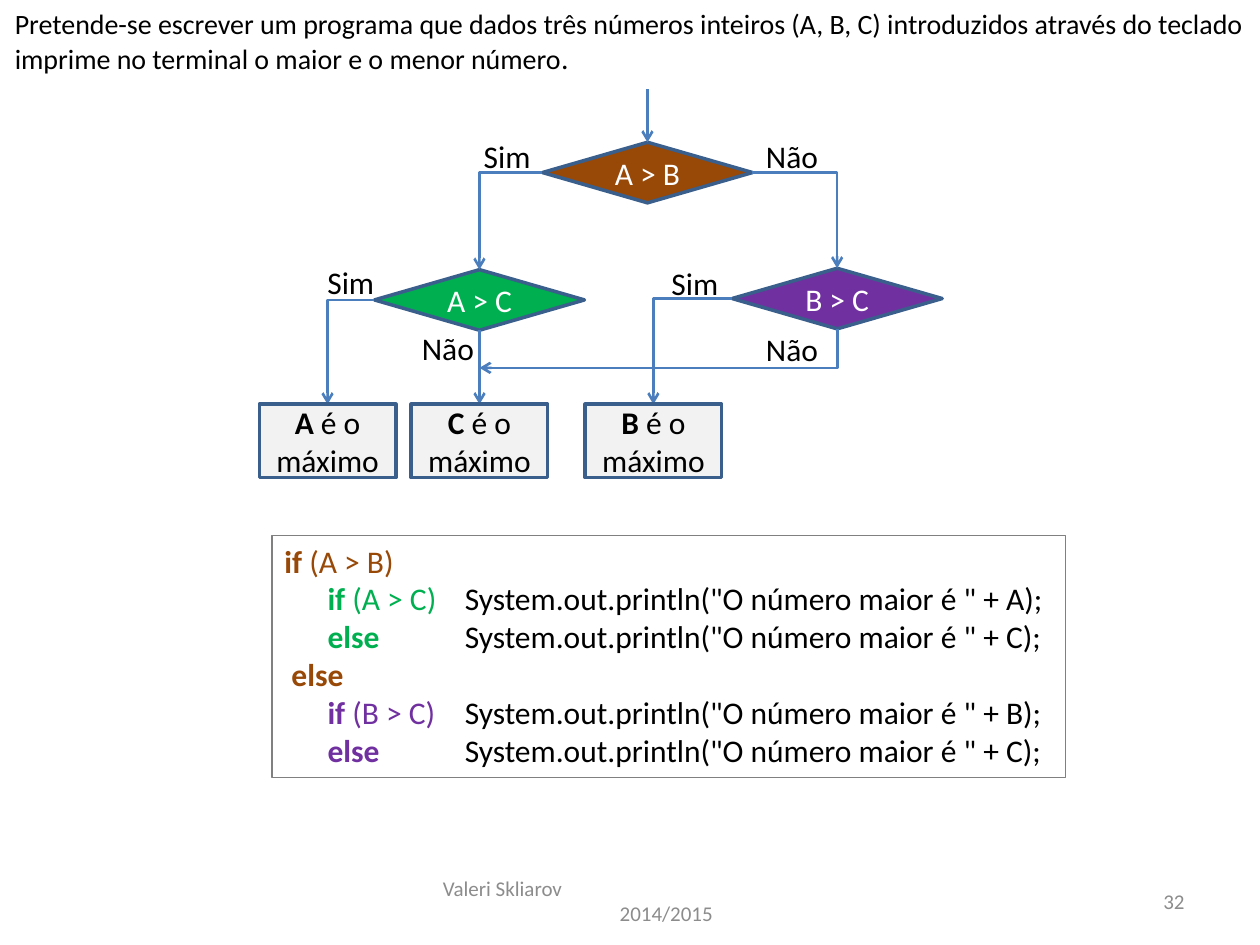
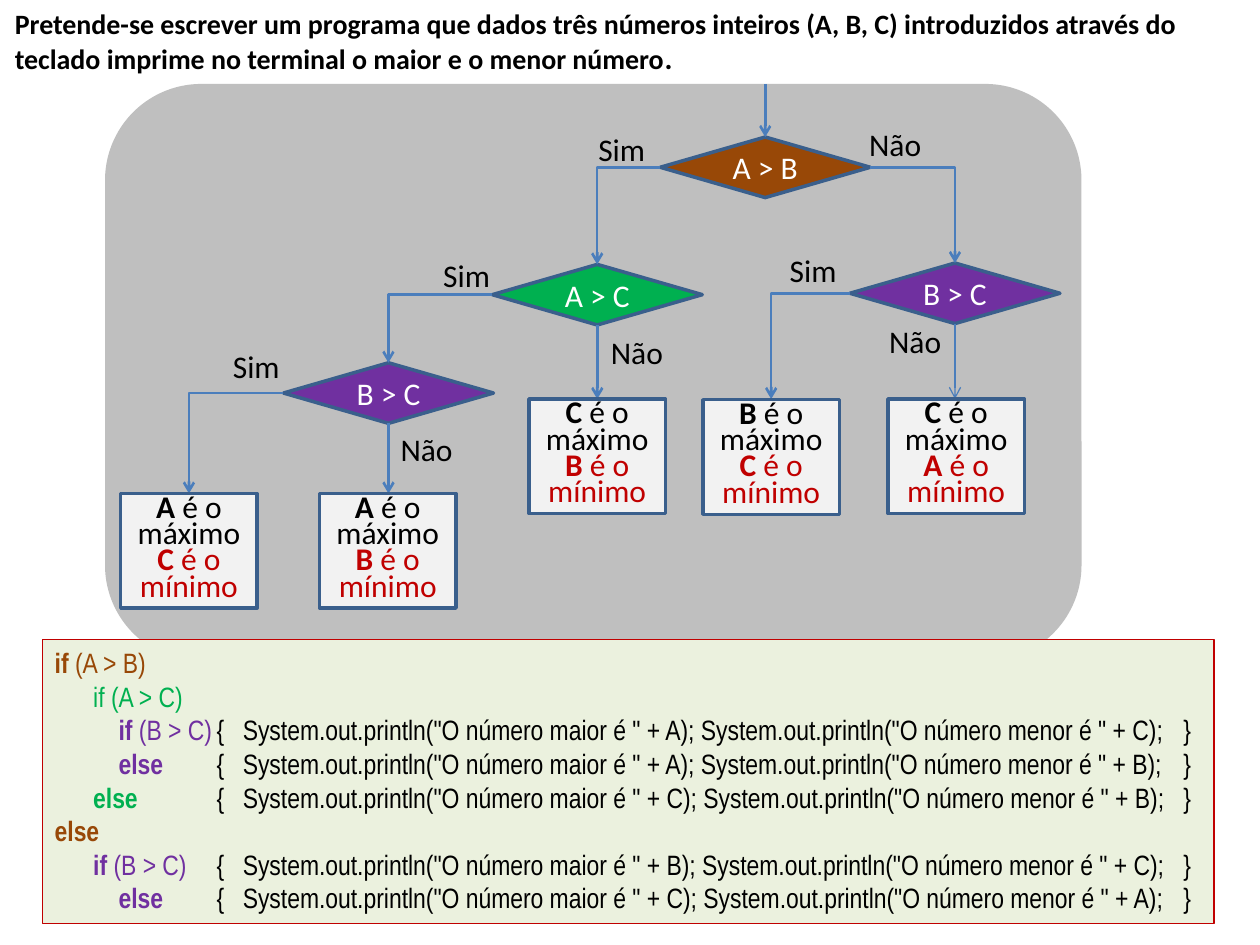
"""Build two slides with flowcharts and Java code that find the largest and smallest of three numbers."""
from dataclasses import dataclass

from lxml.etree import SubElement
from pptx import Presentation
from pptx.dml.color import RGBColor
from pptx.enum.shapes import MSO_CONNECTOR as Link, MSO_SHAPE as Shape
from pptx.enum.text import MSO_ANCHOR as Anchor, PP_ALIGN as Align
from pptx.oxml.ns import qn
from pptx.util import Pt


@dataclass(frozen=True)
class Theme:
    """Colours, fonts, type sizes and line widths of the deck."""
    ink: str = "000000"
    white: str = "FFFFFF"
    muted: str = "8C8C8C"
    brown: str = "984807"
    green: str = "00B050"
    purple: str = "7030A0"
    red: str = "C00000"
    outline: str = "3A5F8C"
    arrow: str = "4B7EBC"
    outcome: str = "F2F2F2"
    panel: str = "BFBFBF"
    code_fill: str = "EBF1DE"
    code_line: str = "808080"
    font: str = "Calibri"
    narrow: str = "Arial Narrow"
    footer_size: float = 12
    title_size: float = 16
    stop_size: float = 17
    body_size: float = 18
    thin: float = 0.75
    medium: float = 1.5
    thick: float = 2


THEME = Theme()
DIAMOND_WIDTH, DIAMOND_HEIGHT = 120, 34.6
OUTCOME_WIDTH = 78
TITLE = ("Pretende-se escrever um programa que dados três números inteiros (A, B, C) "
         "introduzidos através do teclado imprime no terminal o maior e o menor número")


def rgb(colour):
    """Turn a hex string into a colour."""
    return RGBColor.from_string(colour)


def add_run(para, text, colour=THEME.ink, size=THEME.body_size, bold=False, font=THEME.font):
    """Add one formatted run to a paragraph."""
    span = para.add_run()
    span.text = text
    span.font.name, span.font.size, span.font.bold = font, Pt(size), bold
    span.font.color.rgb = rgb(colour)


def next_para(frame, index):
    """Return the first paragraph of a frame or append another."""
    return frame.paragraphs[0] if index == 0 else frame.add_paragraph()


def add_text_box(page, left, top, width, height, wrap=True, anchor=Anchor.TOP):
    """Add an empty text box and return its frame."""
    frame = page.shapes.add_textbox(Pt(left), Pt(top), Pt(width), Pt(height)).text_frame
    frame.word_wrap, frame.vertical_anchor = wrap, anchor
    return frame


def add_box(page, kind, left, top, width, height, fill=None, line=None, weight=THEME.thick):
    """Add a flat preset shape and return it."""
    box = page.shapes.add_shape(kind, Pt(left), Pt(top), Pt(width), Pt(height))
    box.shadow.inherit = False
    if fill:
        box.fill.solid()
        box.fill.fore_color.rgb = rgb(fill)
    else:
        box.fill.background()
    if line:
        box.line.color.rgb = rgb(line)
        box.line.width = Pt(weight)
    else:
        box.line.fill.background()
    box.text_frame.word_wrap = True
    box.text_frame.vertical_anchor = Anchor.MIDDLE
    return box


def add_arrow(page, start, end, bent=False, tip="tailEnd", weight=THEME.medium):
    """Add a straight arrow, or a bent one that runs sideways and then vertically."""
    kind = Link.ELBOW if bent else Link.STRAIGHT
    link = page.shapes.add_connector(kind, *(Pt(value) for value in (*start, *end)))
    link.line.color.rgb = rgb(THEME.arrow)
    link.line.width = Pt(weight)
    props = link._element.spPr
    if bent:
        props.find(qn("a:prstGeom")).set("prst", "bentConnector2")
    SubElement(props.find(qn("a:ln")), qn(f"a:{tip}"), type="arrow")
    SubElement(props, qn("a:effectLst"))


def add_decision(page, text, centre, fill):
    """Add a decision diamond around its centre."""
    x, y = centre
    box = add_box(page, Shape.FLOWCHART_DECISION, x - DIAMOND_WIDTH / 2, y - DIAMOND_HEIGHT / 2,
                  DIAMOND_WIDTH, DIAMOND_HEIGHT, fill, THEME.outline)
    para = box.text_frame.paragraphs[0]
    para.alignment = Align.CENTER
    add_run(para, text, THEME.white)


def add_outcome(page, x, top, height, largest, smallest=None):
    """Add a result box that names the largest and perhaps the smallest number."""
    box = add_box(page, Shape.RECTANGLE, x - OUTCOME_WIDTH / 2, top, OUTCOME_WIDTH, height,
                  THEME.outcome, THEME.outline)
    results = [(largest, "máximo", THEME.ink)]
    if smallest:
        results.append((smallest, "mínimo", THEME.red))
    for index, (letter, word, colour) in enumerate(results):
        para = next_para(box.text_frame, index)
        para.alignment = Align.CENTER
        if smallest:
            para.line_spacing = Pt(15)
        add_run(para, letter, colour, bold=True)
        add_run(para, f" é o {word}", colour)


def side(centre, direction):
    """Return the left (-1) or right (1) corner of a diamond."""
    return centre[0] + direction * DIAMOND_WIDTH / 2, centre[1]


def edge(centre, direction):
    """Return the top (-1) or bottom (1) corner of a diamond."""
    return centre[0], centre[1] + direction * DIAMOND_HEIGHT / 2


def add_comparisons(page, dx=0, dy=0):
    """Draw the decisions shared by both charts and return the two lower centres."""
    first, left, right = [(x + dx, y + dy) for x, y in ((370, 98.6), (274, 171.4), (478.4, 170.6))]
    add_decision(page, "A > B", first, THEME.brown)
    add_decision(page, "A > C", left, THEME.green)
    add_decision(page, "B > C", right, THEME.purple)
    add_arrow(page, (first[0], 51 + dy), edge(first, -1))
    add_arrow(page, side(first, -1), edge(left, -1), bent=True)
    add_arrow(page, side(first, 1), edge(right, -1), bent=True)
    add_arrow(page, edge(left, 1), (left[0], 231 + dy))
    add_arrow(page, side(right, -1), (373.4 + dx, 231 + dy), bent=True)
    return left, right


def add_labels(page, yes, no):
    """Label the branches at the given corners."""
    for text, width, places in (("Sim", 42, yes), ("Não", 44.6, no)):
        for left, top in places:
            frame = add_text_box(page, left, top, width, 29, wrap=False)
            add_run(frame.paragraphs[0], text)


def add_title(page, bold=False):
    """Add the task statement at the top."""
    para = add_text_box(page, 1.4, 0, 723.6, 48).paragraphs[0]
    add_run(para, TITLE, size=THEME.title_size, bold=bold)
    add_run(para, ".", size=THEME.stop_size, bold=bold)


def add_footer(page, number):
    """Add author, year and page number."""
    frame = add_text_box(page, 246, 500.4, 228, 28.8, anchor=Anchor.MIDDLE)
    for index, (text, indent) in enumerate((("Valeri Skliarov", 0), ("2014/2015", 101))):
        para = next_para(frame, index)
        para._p.get_or_add_pPr().set("marL", str(Pt(indent)))
        add_run(para, text, THEME.muted, THEME.footer_size)
    para = add_text_box(page, 516, 500.4, 168, 28.8, anchor=Anchor.MIDDLE).paragraphs[0]
    para.alignment = Align.RIGHT
    add_run(para, number, THEME.muted, THEME.footer_size)


def add_code(box, lines, stops, size, font):
    """Write code lines of indent, keyword, condition, colour and statement."""
    frame = box.text_frame
    frame.vertical_anchor = Anchor.TOP
    for index, (indent, keyword, condition, colour, statement) in enumerate(lines):
        para = next_para(frame, index)
        para.alignment = Align.LEFT
        tabs = SubElement(para._p.get_or_add_pPr(), qn("a:tabLst"))
        for stop in ([indent] if indent else []) + stops:
            SubElement(tabs, qn("a:tab"), pos=str(Pt(stop)), algn="l")
        pieces = (("\t" if indent else "", THEME.ink, False), (keyword, colour, True),
                  (condition, colour, False), (statement, THEME.ink, False))
        for text, shade, bold in pieces:
            if text:
                add_run(para, text, shade, size, bold, font)


def print_call(word, letter):
    """Return the statement that prints one number."""
    return f'System.out.println("O número {word} é " + {letter});'


def print_one(letter):
    """Return a tabbed statement for the largest number."""
    return "\t" + print_call("maior", letter)


def print_both(largest, smallest):
    """Return a tabbed block for the largest and smallest numbers."""
    return f"\t{{\t{print_call('maior', largest)} {print_call('menor', smallest)}\t}}"


def build_largest(page):
    """Build the slide that finds the largest number."""
    add_footer(page, "32")
    add_title(page)
    left, right = add_comparisons(page)
    add_arrow(page, side(left, -1), (187.2, 231), bent=True)
    add_arrow(page, (left[0], 210.2), edge(right, 1), bent=True, tip="headEnd")
    for letter, x in (("A", 187.2), ("C", 274), ("B", 373.4)):
        add_outcome(page, x, 231, 42, letter)
    add_labels(page, yes=((269.3, 75), (180, 147), (376.6, 147.4)),
               no=((430.6, 75), (234, 184.3), (430.6, 185)))
    box = add_box(page, Shape.RECTANGLE, 155.5, 306, 453.6, 138.4,
                  line=THEME.code_line, weight=THEME.thin)
    add_code(box, [
        (0, "if", " (A > B)", THEME.brown, ""),
        (24.6, "if", " (A > C)", THEME.green, print_one("A")),
        (24.6, "else", "", THEME.green, print_one("C")),
        (4, "else", "", THEME.brown, ""),
        (24.6, "if", " (B > C)", THEME.purple, print_one("B")),
        (24.6, "else", "", THEME.purple, print_one("C")),
    ], [103], THEME.body_size, THEME.font)


def build_both(page):
    """Build the slide that finds the largest and the smallest number."""
    add_title(page, bold=True)
    add_box(page, Shape.ROUNDED_RECTANGLE, 60, 48, 558, 330, THEME.panel)
    left, right = add_comparisons(page, 67.3, -3)
    lower = (222, 224.6)
    add_decision(page, "B > C", lower, THEME.purple)
    add_arrow(page, side(left, -1), edge(lower, -1), bent=True)
    add_arrow(page, side(lower, -1), (108, 282), bent=True)
    add_arrow(page, edge(lower, 1), (lower[0], 282))
    add_arrow(page, edge(right, 1), (right[0], 228), weight=THEME.thin)
    outcomes = (("A", "C", 108, 282), ("A", "B", 221.6, 282), ("C", "B", 341.3, 228),
                ("B", "C", 440.7, 228.4), ("C", "A", 546.4, 228))
    for largest, smallest, x, top in outcomes:
        add_outcome(page, x, top, 65.5, largest, smallest)
    add_labels(page, yes=((334.8, 70.6), (246.2, 143), (444.2, 139.7), (126, 195)),
               no=((489.6, 67.7), (342, 186.5), (501, 180.7), (221.8, 242)))
    box = add_box(page, Shape.RECTANGLE, 24.2, 365.5, 669.6, 162.4,
                  THEME.code_fill, THEME.red, THEME.thin)
    add_code(box, [
        (0, "if", " (A > B)", THEME.brown, ""),
        (22, "", "if (A > C)", THEME.green, ""),
        (36.5, "if", " (B > C)", THEME.purple, print_both("A", "C")),
        (36.5, "else", "", THEME.purple, print_both("A", "B")),
        (22, "else", "", THEME.green, print_both("C", "B")),
        (0, "else", "", THEME.brown, ""),
        (22, "if", " (B > C)", THEME.purple, print_both("B", "C")),
        (36.5, "else", "", THEME.purple, print_both("C", "A")),
    ], [92.5, 107.5, 645], THEME.title_size, THEME.narrow)


def main():
    """Build and save the deck."""
    deck = Presentation()
    deck.slide_width, deck.slide_height = Pt(720), Pt(540)
    for build in (build_largest, build_both):
        build(deck.slides.add_slide(deck.slide_layouts[6]))
    deck.save("out.pptx")


if __name__ == "__main__":
    main()
